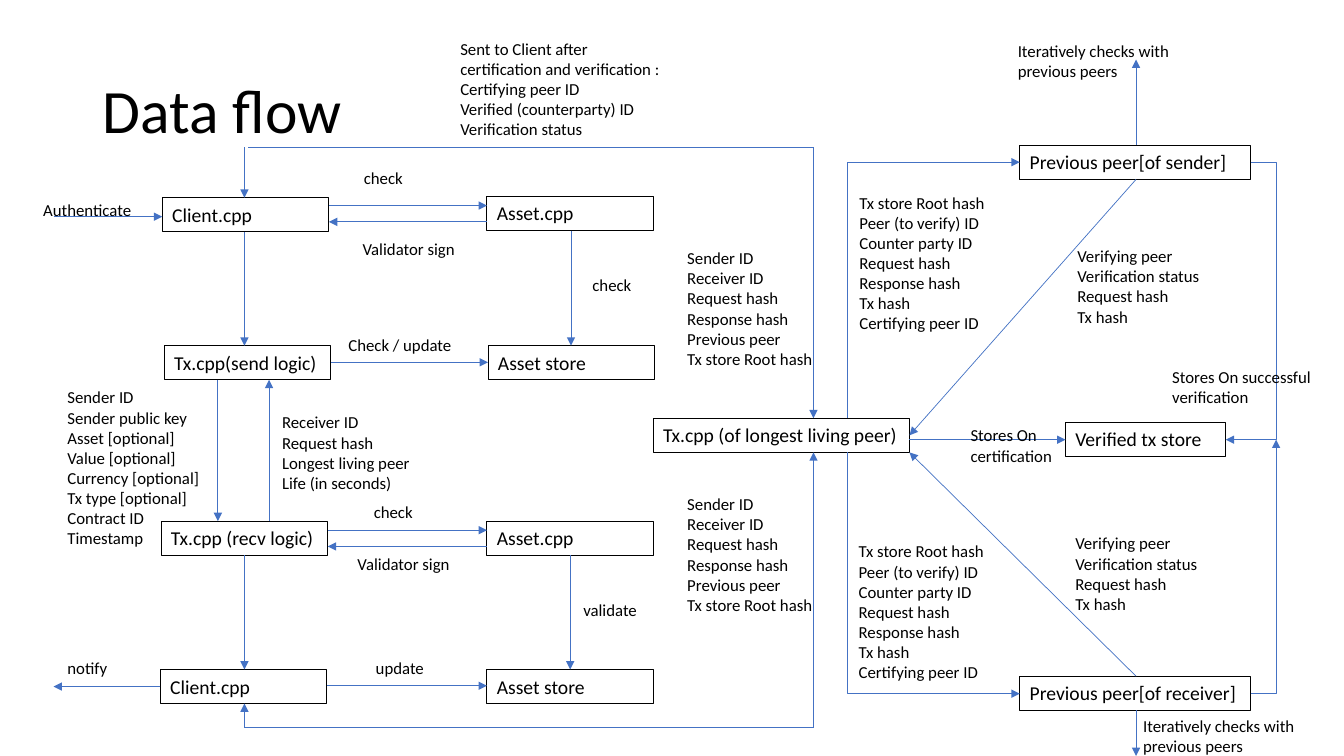
from lxml.etree import SubElement
from pptx import Presentation
from pptx.dml.color import RGBColor
from pptx.enum.shapes import MSO_CONNECTOR as LineKind, MSO_SHAPE as Preset
from pptx.enum.text import MSO_ANCHOR as Anchor, MSO_AUTO_SIZE as AutoSize, PP_ALIGN as Align
from pptx.oxml.ns import qn
from pptx.util import Cm, Pt

FONT, BLACK, BLUE = "Calibri", "000000", "4472C4"
BOX_HEIGHT = 0.86
STEP_WIDTH, PEER_WIDTH = 4.2, 5.82
BUS_X, TOP_BUS_Y, LOW_BUS_Y = 20.5, 3.71, 18.34
CLIENT_X, PEER_X, BRANCH_X, STORE_X = 6.16, 28.63, 21.36, 32.16

TITLE = "Data flow"
BOXES = {
    "client": ("Client.cpp", 4.09, 4.98, STEP_WIDTH),
    "asset": ("Asset.cpp", 12.27, 4.95, STEP_WIDTH),
    "store": ("Asset store", 12.3, 8.71, STEP_WIDTH),
    "send": ("Tx.cpp(send logic)", 4.14, 8.71, STEP_WIDTH),
    "recv": ("Tx.cpp (recv logic)", 4.06, 13.13, STEP_WIDTH),
    "low asset": ("Asset.cpp", 12.27, 13.13, STEP_WIDTH),
    "low store": ("Asset store", 12.27, 16.87, STEP_WIDTH),
    "low client": ("Client.cpp", 4.04, 16.87, STEP_WIDTH),
    "longest": ("Tx.cpp (of longest living peer)", 16.46, 10.54, 6.46),
    "verified": ("Verified tx store", 26.85, 10.64, 4.04),
    "sender": ("Previous peer[of sender]", 25.7, 3.66, PEER_WIDTH),
    "receiver": ("Previous peer[of receiver]", 25.7, 17.04, PEER_WIDTH),
}
ACROSS = [
    ("client", "asset", 5.18), ("asset", "client", 5.59),
    ("recv", "low asset", 13.36), ("low asset", "recv", 13.77),
    ("send", "store", 9.13), ("low client", "low store", 17.28),
    ("longest", "verified", 11.08),
]
DOWN = [
    ("client", "send", CLIENT_X), ("asset", "store", 14.39),
    ("send", "recv", 5.49), ("recv", "send", 6.78),
    ("recv", "low client", CLIENT_X), ("low asset", "low store", 14.37),
]

TRANSACTION = ["Sender ID", "Receiver ID", "Request hash", "Response hash",
               "Previous peer", "Tx store Root hash"]
CHECK_REQUEST = ["Tx store Root hash", "Peer (to verify) ID", "Counter party ID",
                 "Request hash", "Response hash", "Tx hash", "Certifying peer ID"]
CHECK_REPLY = ["Verifying peer", "Verification status", "Request hash", "Tx hash"]
ITERATE = ["Iteratively checks with previous peers"]
NOTES = [
    (8.92, 4.11, 2.54, 1, ["check"]),
    (14.68, 6.81, 2.54, 1, ["check"]),
    (8.89, 5.89, 3.18, 1, ["Validator sign"]),
    (0.84, 4.9, 2.76, 1, ["Authenticate"]),
    (8.53, 8.31, 3.18, 1, ["Check / update"]),
    (9.17, 12.52, 2.54, 1, ["check"]),
    (14.45, 14.99, 2.54, 1, ["validate"]),
    (9.22, 16.46, 2.54, 1, ["update"]),
    (1.45, 16.46, 2.54, 1, ["notify"]),
    (8.76, 13.82, 3.18, 1, ["Validator sign"]),
    (6.86, 10.26, 3.78, 4, ["Receiver ID", "Request hash", "Longest living peer",
                            "Life (in seconds)"]),
    (1.45, 9.63, 3.89, 8, ["Sender ID", "Sender public key", "Asset [optional]",
                           "Value [optional]", "Currency [optional]",
                           "Tx type [optional]", "Contract ID", "Timestamp"]),
    (17.07, 6.12, 3.89, 6, TRANSACTION),
    (17.07, 12.32, 3.89, 6, TRANSACTION),
    (24.21, 10.59, 3.18, 2, ["Stores On certification"]),
    (21.39, 13.51, 3.89, 7, CHECK_REQUEST),
    (21.41, 4.72, 3.89, 7, CHECK_REQUEST),
    (25.4, 0.89, 5.11, 2, ITERATE),
    (28.56, 17.91, 5.11, 2, ITERATE),
    (29.29, 9.12, 5.11, 2, ["Stores On successful verification"]),
    (26.9, 6.07, 3.78, 4, CHECK_REPLY),
    (26.85, 13.31, 3.78, 4, CHECK_REPLY),
    (11.35, 0.84, 5.77, 5, ["Sent to Client after certification and verification :",
                            "Certifying peer ID", "Verified (counterparty) ID",
                            "Verification status"]),
]


def color(value):
    return RGBColor.from_string(value)


def write(frame, lines, size, anchor=Anchor.TOP):
    frame.word_wrap = True
    frame.vertical_anchor = anchor
    for index, line in enumerate(lines):
        para = frame.paragraphs[0] if index == 0 else frame.add_paragraph()
        para.alignment = Align.LEFT
        span = para.add_run()
        span.text = line
        span.font.name = FONT
        span.font.size = Pt(size)
        span.font.color.rgb = color(BLACK)


def connect(start, end, head=True, kind=LineKind.STRAIGHT):
    line = page.shapes.add_connector(kind, *(Cm(value) for value in (*start, *end)))
    line.line.color.rgb = color(BLUE)
    line.line.width = Pt(0.5)
    properties = line._element.spPr
    if head:
        SubElement(properties.find(qn("a:ln")), qn("a:tailEnd"), type="triangle")
    SubElement(properties, qn("a:effectLst"))
    return properties.find(qn("a:prstGeom"))


def bend(start, end, turn_x):
    geometry = connect(start, end, kind=LineKind.ELBOW)
    share = (turn_x - start[0]) / (end[0] - start[0])
    if turn_x == end[0]:
        geometry.set("prst", "bentConnector2")
    else:
        SubElement(geometry.find(qn("a:avLst")), qn("a:gd"),
                   name="adj1", fmla=f"val {round(share * 100000)}")


def edges(name):
    text, left, top, width = BOXES[name]
    return left, top, left + width, top + BOX_HEIGHT


def facing(source, target, axis):
    first, second = edges(source), edges(target)
    if first[axis] < second[axis]:
        return first[axis + 2], second[axis]
    return first[axis], second[axis + 2]


deck = Presentation()
deck.slide_width, deck.slide_height = Cm(33.87), Cm(19.05)
page = deck.slides.add_slide(deck.slide_layouts[5])

title = page.shapes.title
title.left, title.top, title.width, title.height = Cm(2.33), Cm(1.01), Cm(29.21), Cm(3.68)
write(title.text_frame, [TITLE], 44, Anchor.MIDDLE)
title.text_frame.paragraphs[0].line_spacing = 0.9

for text, left, top, width in BOXES.values():
    box = page.shapes.add_shape(Preset.RECTANGLE, Cm(left), Cm(top), Cm(width), Cm(BOX_HEIGHT))
    box.shadow.inherit = False
    box.fill.background()
    box.line.color.rgb = color(BLACK)
    box.line.width = Pt(0.75)
    write(box.text_frame, [text], 14)

for source, target, y in ACROSS:
    start, end = facing(source, target, 0)
    connect((start, y), (end, y))
for source, target, x in DOWN:
    start, end = facing(source, target, 1)
    connect((x, start), (x, end))

longest_left, longest_top, longest_right, longest_bottom = edges("longest")
sender_left, sender_top, sender_right, sender_bottom = edges("sender")
receiver_left, receiver_top, receiver_right, receiver_bottom = edges("receiver")
sender_y, receiver_y, store_y = 4.09, 17.48, 11.08

connect((1.35, 5.46), (edges("client")[0], 5.46))
connect((edges("low client")[0], 17.3), (1.35, 17.3))

for bus_y, longest_y, client_y, bus_end in (
    (TOP_BUS_Y, longest_top, edges("client")[1], 6.25),
    (LOW_BUS_Y, longest_bottom, edges("low client")[3], 6.17),
):
    connect((BUS_X, bus_y), (BUS_X, longest_y))
    connect((BUS_X, bus_y), (bus_end, bus_y), head=False)
    connect((CLIENT_X, bus_y), (CLIENT_X, client_y))

connect((PEER_X, sender_top), (PEER_X, 1.5))
connect((PEER_X, receiver_bottom), (PEER_X, 19.05))
connect((PEER_X, sender_bottom), (longest_right, 10.97))
connect((PEER_X, receiver_top), (longest_right, longest_bottom))

bend((BRANCH_X, longest_top), (sender_left, sender_y), BRANCH_X)
bend((BRANCH_X, longest_bottom), (receiver_left, receiver_y), BRANCH_X)
bend((sender_right, sender_y), (edges("verified")[2], store_y), STORE_X)
bend((receiver_right, receiver_y), (STORE_X, store_y), STORE_X)

for left, top, width, rows, lines in NOTES:
    note = page.shapes.add_textbox(Cm(left), Cm(top), Cm(width), Cm(0.51 * rows + 0.25))
    write(note.text_frame, lines, 12)
    note.text_frame.auto_size = AutoSize.SHAPE_TO_FIT_TEXT

deck.save("out.pptx")
